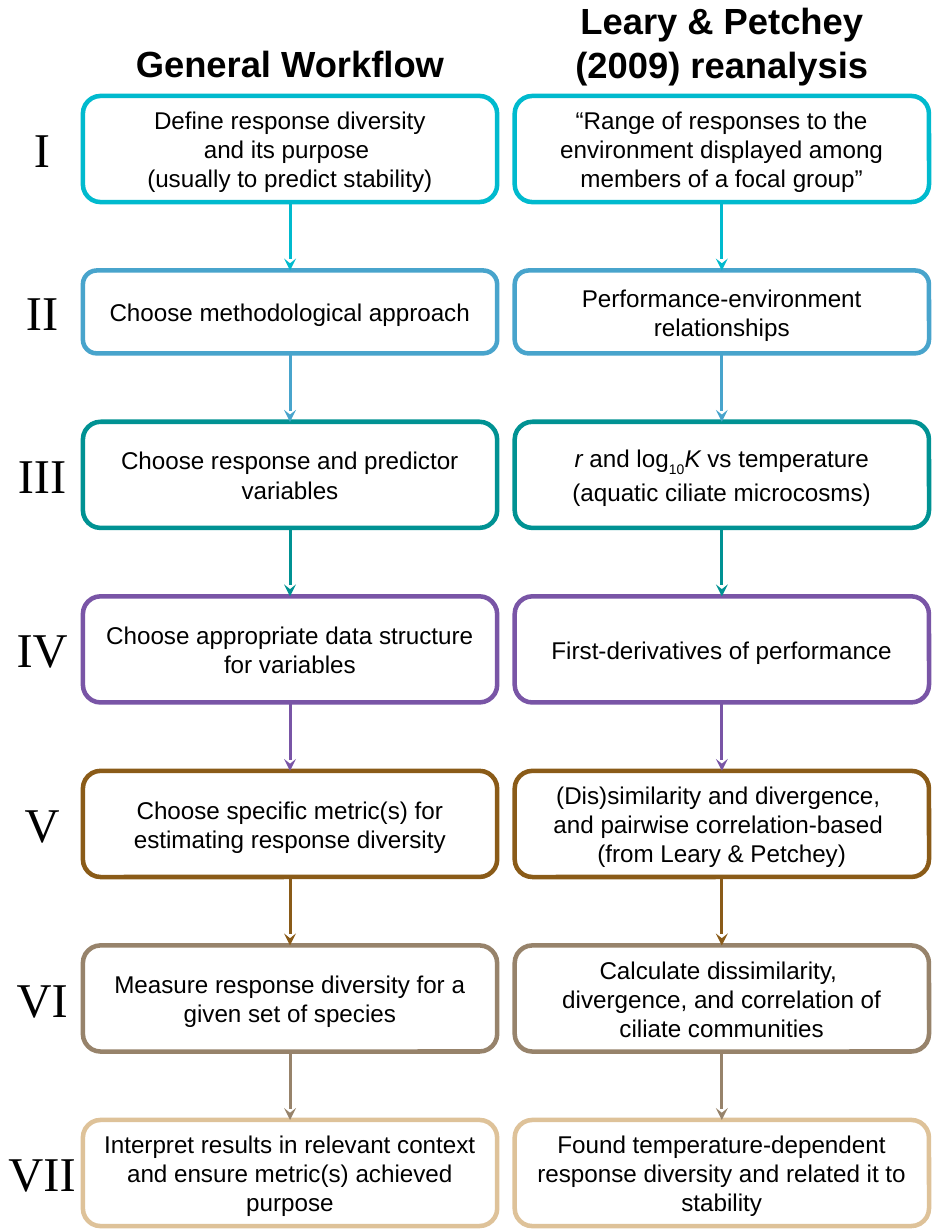
"""Build a seven-step response diversity workflow beside its worked reanalysis."""
import dataclasses
import typing

import lxml.etree
import pptx
import pptx.dml.color
import pptx.enum.shapes
import pptx.enum.text
import pptx.oxml.ns
import pptx.util

PX = 9144
COLUMN_LEFTS = (57, 354)
BOX_WIDTH, GAP, FIRST_TOP = 285, 47, 66
NUMERAL_LEFT, NUMERAL_WIDTH, NUMERAL_HEIGHT = 1, 56, 50
SANS, SERIF = "Arial", "Times New Roman"


@dataclasses.dataclass(frozen=True)
class Run:
    text: str
    italic: bool = False
    subscript: bool = False


Paragraphs = typing.Sequence[typing.Sequence[Run]]


@dataclasses.dataclass(frozen=True)
class Step:
    numeral: str
    color: str
    general: Paragraphs
    reanalysis: Paragraphs
    height: int = 73


@dataclasses.dataclass(frozen=True)
class Heading:
    placeholder: int
    text: str
    left: int
    top: int
    height: int


def plain(*lines: str) -> Paragraphs:
    return [[Run(line)] for line in lines]


HEADINGS = (
    Heading(0, "General Workflow", COLUMN_LEFTS[0], 23, 40),
    Heading(1, "Leary & Petchey (2009) reanalysis", COLUMN_LEFTS[1], -6, 71),
)

STEPS = (
    Step("I", "00BACE",
         plain("Define response diversity", "and its purpose ", "(usually to predict stability)"),
         plain("“Range of responses to the environment displayed among members of a focal group”")),
    Step("II", "48A4CC",
         plain("Choose methodological approach"),
         plain("Performance-environment relationships"), height=57),
    Step("III", "009293",
         plain("Choose response and predictor variables"),
         [[Run("r", italic=True), Run(" and log"), Run("10", subscript=True),
           Run("K", italic=True), Run(" vs temperature (aquatic ciliate microcosms)")]]),
    Step("IV", "7955A6",
         plain("Choose appropriate data structure for variables"),
         plain("First-derivatives of performance")),
    Step("V", "8A5B18",
         plain("Choose specific metric(s) for estimating response diversity"),
         plain("(Dis)similarity and divergence, ", "and pairwise correlation-based ",
               "(from Leary & Petchey)")),
    Step("VI", "97836B",
         plain("Measure response diversity for a given set of species"),
         plain("Calculate dissimilarity, ", "divergence, and correlation of ciliate communities")),
    Step("VII", "DEC299",
         plain("Interpret results in relevant context and ensure metric(s) achieved purpose"),
         plain("Found temperature-dependent response diversity and related it to stability")),
)


def px(length: int) -> pptx.util.Emu:
    return pptx.util.Emu(length * PX)


def rgb(color: str) -> pptx.dml.color.RGBColor:
    return pptx.dml.color.RGBColor.from_string(color)


def write(sp, paragraphs: Paragraphs, size: int, font: str, *, bold: bool = False,
          wrap: bool = True, middle: bool = False) -> None:
    tf = sp.text_frame
    tf.word_wrap = wrap
    tf.auto_size = pptx.enum.text.MSO_AUTO_SIZE.NONE
    anchors = pptx.enum.text.MSO_ANCHOR
    tf.vertical_anchor = anchors.MIDDLE if middle else anchors.TOP
    for index, runs in enumerate(paragraphs):
        p = tf.add_paragraph() if index else tf.paragraphs[0]
        p.alignment = pptx.enum.text.PP_ALIGN.CENTER
        p.space_before = pptx.util.Pt(0)
        p.line_spacing = 1.0
        for run in runs:
            r = p.add_run()
            r.text = run.text
            r.font.name = font
            r.font.size = pptx.util.Pt(size)
            r.font.bold = bold
            r.font.italic = run.italic
            r.font.color.rgb = rgb("000000")
            if run.subscript:
                r._r.get_or_add_rPr().set("baseline", "-25000")


def add_heading(slide, heading: Heading) -> None:
    sp = slide.placeholders[heading.placeholder]
    sp.left, sp.top = px(heading.left), px(heading.top)
    sp.width, sp.height = px(BOX_WIDTH), px(heading.height)
    write(sp, plain(heading.text), 18, SANS, bold=True)


def add_box(slide, left: int, top: int, height: int, color: str, paragraphs: Paragraphs):
    sp = slide.shapes.add_shape(pptx.enum.shapes.MSO_SHAPE.ROUNDED_RECTANGLE,
                                px(left), px(top), px(BOX_WIDTH), px(height))
    sp.shadow.inherit = False
    sp.fill.solid()
    sp.fill.fore_color.rgb = rgb("FFFFFF")
    sp.line.color.rgb = rgb(color)
    sp.line.width = pptx.util.Pt(2.25)
    write(sp, paragraphs, 12, SANS, middle=True)
    return sp


def add_arrow(slide, upper, lower, color: str) -> None:
    arrow = slide.shapes.add_connector(pptx.enum.shapes.MSO_CONNECTOR.STRAIGHT, 0, 0, 0, 0)
    arrow.begin_connect(upper, 2)
    arrow.end_connect(lower, 0)
    arrow.line.color.rgb = rgb(color)
    arrow.line.width = pptx.util.Pt(1.5)
    qn = pptx.oxml.ns.qn
    lxml.etree.SubElement(arrow.line._get_or_add_ln(), qn("a:tailEnd"), type="stealth")
    lxml.etree.SubElement(arrow._element.spPr, qn("a:effectLst"))


def add_numeral(slide, step: Step, top: int) -> None:
    sp = slide.shapes.add_textbox(px(NUMERAL_LEFT), px(top + (step.height - NUMERAL_HEIGHT) // 2),
                                  px(NUMERAL_WIDTH), px(NUMERAL_HEIGHT))
    write(sp, plain(step.numeral), 24, SERIF, wrap=False)


def main() -> None:
    prs = pptx.Presentation()
    prs.slide_width, prs.slide_height = px(650), px(847)
    slide = prs.slides.add_slide(prs.slide_layouts.get_by_name("Comparison"))
    for heading in HEADINGS:
        add_heading(slide, heading)
    for sp in list(slide.placeholders):
        if not sp.text_frame.text:
            sp._element.getparent().remove(sp._element)

    top = FIRST_TOP
    above, above_color = [], ""
    for step in STEPS:
        boxes = [add_box(slide, left, top, step.height, step.color, paragraphs)
                 for left, paragraphs in zip(COLUMN_LEFTS, (step.general, step.reanalysis))]
        for upper, lower in zip(above, boxes):
            add_arrow(slide, upper, lower, above_color)
        add_numeral(slide, step, top)
        above, above_color = boxes, step.color
        top += step.height + GAP

    prs.save("out.pptx")


if __name__ == "__main__":
    main()
